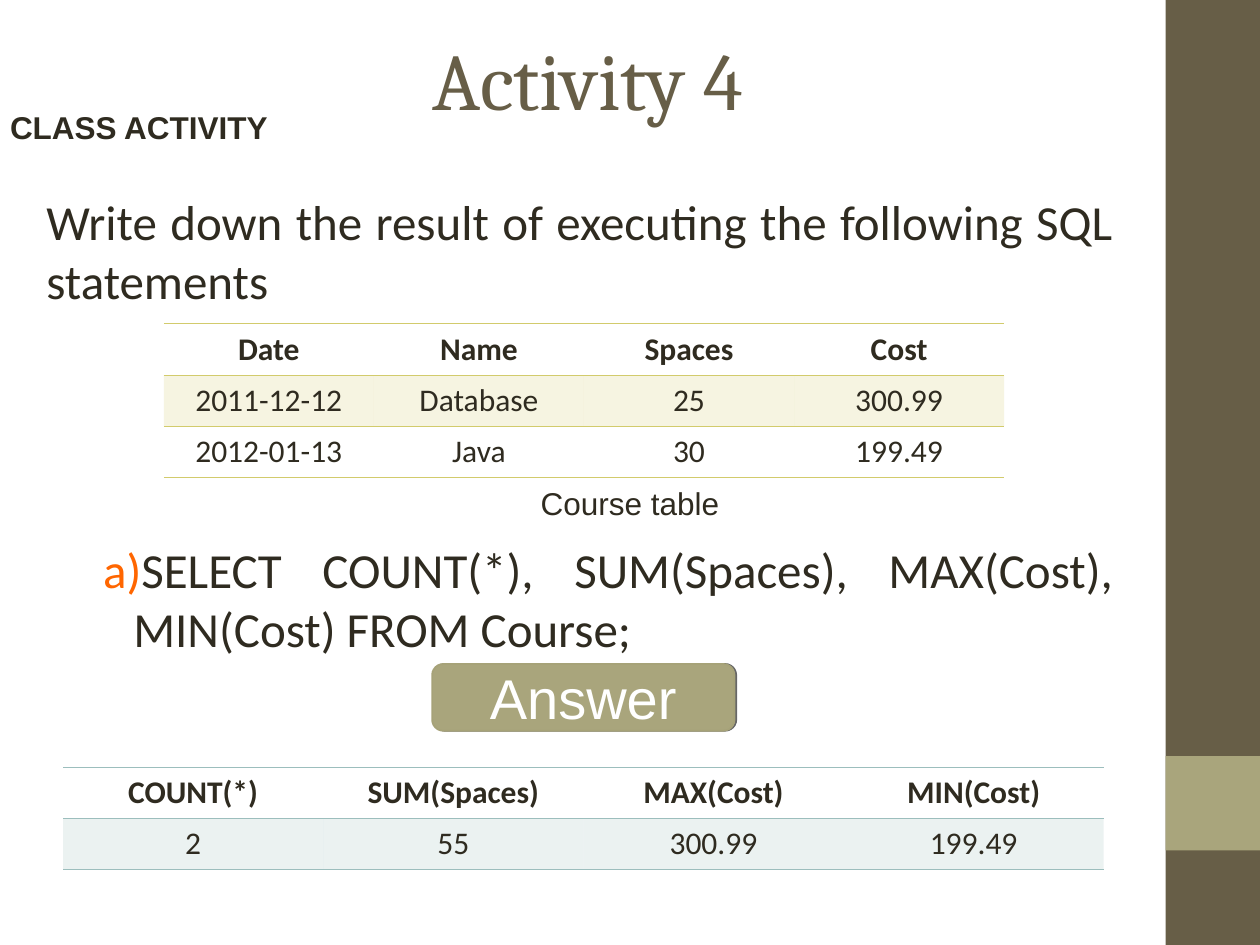
from dataclasses import dataclass

from lxml import etree
from pptx import Presentation
from pptx.dml.color import RGBColor as RGB
from pptx.enum.shapes import MSO_SHAPE as SHAPE
from pptx.enum.text import MSO_ANCHOR as ANCHOR, PP_ALIGN as ALIGN
from pptx.oxml import parse_xml
from pptx.oxml.ns import nsdecls, qn
from pptx.util import Inches, Pt


@dataclass(frozen=True)
class Theme:
    dark: str = "675E47"
    olive: str = "A9A57C"
    outline: str = "A6A278"
    ink: str = "2F2B20"
    white: str = "FFFFFF"
    bullet: str = "FF6600"
    gold: str = "D2CB6C"
    teal: str = "9CBEBD"
    title: int = 46
    answer: int = 32
    body: int = 28
    small: int = 18


T = Theme()

prs = Presentation()
prs.slide_width, prs.slide_height = Inches(10), Inches(7.5)
s = prs.slides.add_slide(prs.slide_layouts[6])


def write(tf, text, size, font, color=T.ink, align=ALIGN.CENTER, bold=False):
    p = tf.paragraphs[0]
    p.alignment = align
    r = p.add_run()
    r.text = text
    r.font.size, r.font.name, r.font.bold = Pt(size), font, bold
    r.font.color.rgb = RGB.from_string(color)
    return p


def add_box(x, y, w, h, *args, **kwargs):
    tf = s.shapes.add_textbox(Inches(x), Inches(y), Inches(w), Inches(h)).text_frame
    tf.word_wrap = True
    write(tf, *args, **kwargs)
    return tf


for y, h, color in [(0, 7.5, T.dark), (6, 0.75, T.olive)]:
    sp = s.shapes.add_shape(SHAPE.RECTANGLE, Inches(9.25), Inches(y), Inches(0.75), Inches(h))
    sp.shadow.inherit = False
    sp.fill.solid()
    sp.fill.fore_color.rgb = RGB.from_string(color)
    sp.line.fill.background()

title = add_box(0.5, 0, 8.33, 1.25, "Activity 4", T.title, "Cambria", T.dark)
title.vertical_anchor = ANCHOR.MIDDLE

label = add_box(0, 0.91, 8.94, 0.35, "CLASS ACTIVITY", T.small, "Arial",
                align=ALIGN.LEFT, bold=True)
label.margin_left = label.margin_right = Inches(0.08)
label.margin_top = label.margin_bottom = 0
label.paragraphs[0].line_spacing = Pt(18)

add_box(0.27, 1.47, 8.66, 1.05,
        "Write down the result of executing the following SQL statements",
        T.body, "Calibri", align=ALIGN.JUSTIFY)

statement = add_box(0.27, 4.23, 8.66, 1.05,
                    "SELECT COUNT(*), SUM(Spaces), MAX(Cost), MIN(Cost) FROM Course;",
                    T.body, "Calibri", align=ALIGN.JUSTIFY)
pPr = statement.paragraphs[0]._p.get_or_add_pPr()
pPr.set("marL", str(Inches(0.69)))
pPr.set("indent", str(Inches(-0.24)))
bullet_color = etree.SubElement(pPr, qn("a:buClr"))
etree.SubElement(bullet_color, qn("a:srgbClr"), val=T.bullet)
etree.SubElement(pPr, qn("a:buFont"), typeface="Calibri")
etree.SubElement(pPr, qn("a:buAutoNum"), type="alphaLcParenR")

answer_rows = [
    ["COUNT(*)", "SUM(Spaces)", "MAX(Cost)", "MIN(Cost)"],
    ["2", "55", "300.99", "199.49"],
]
course_rows = [
    ["Date", "Name", "Spaces", "Cost"],
    ["2011-12-12", "Database", "25", "300.99"],
    ["2012-01-13", "Java", "30", "199.49"],
]
for x, y, w, h, color, rows in [
    (0.5, 6.09, 8.26, 0.81, T.teal, answer_rows),
    (1.3, 2.57, 6.67, 1.22, T.gold, course_rows),
]:
    table = s.shapes.add_table(len(rows), len(rows[0]), Inches(x), Inches(y),
                               Inches(w), Inches(h)).table
    table.horz_banding = False
    style = table._tbl.tblPr.find(qn("a:tableStyleId"))
    style.text = "{2D5ABB26-0587-4C30-8999-92F81FD0307C}"
    for i, row in enumerate(rows):
        edges = [("lnT", i < 2), ("lnB", i in (0, len(rows) - 1))]
        for j, text in enumerate(row):
            cell = table.cell(i, j)
            write(cell.text_frame, text, T.small, "Calibri", bold=i == 0)
            if i == 1:
                cell.fill.solid()
                cell.fill.fore_color.rgb = RGB.from_string(color)
            else:
                cell.fill.background()
            tcPr = cell._tc.get_or_add_tcPr()
            for clr in tcPr.iter(qn("a:srgbClr")):
                etree.SubElement(clr, qn("a:alpha"), val="20000")
            borders = [edge for edge, shown in edges if shown]
            for k, edge in enumerate(borders):
                tcPr.insert(k, parse_xml(
                    f'<a:{edge} {nsdecls("a")} w="{Pt(0.45)}"><a:solidFill>'
                    f'<a:srgbClr val="{color}"/></a:solidFill></a:{edge}>'))

add_box(3.93, 3.79, 2.14, 0.4, "Course table", T.small, "Arial")

button = s.shapes.add_shape(SHAPE.ROUNDED_RECTANGLE, Inches(3.43), Inches(5.27),
                            Inches(2.4), Inches(0.53))
button.shadow.inherit = False
button.fill.solid()
button.fill.fore_color.rgb = RGB.from_string(T.olive)
button.line.color.rgb = RGB.from_string(T.outline)
button.line.width = Pt(1)
effects = button._element.spPr.find(qn("a:effectLst"))
effects.append(parse_xml(
    f'<a:outerShdw {nsdecls("a")} blurRad="0" dist="{Pt(1)}" dir="0">'
    '<a:srgbClr val="000000"><a:alpha val="60000"/></a:srgbClr></a:outerShdw>'))
button.text_frame.vertical_anchor = ANCHOR.MIDDLE
write(button.text_frame, "Answer", T.answer, "Arial", T.white)

prs.save("out.pptx")
